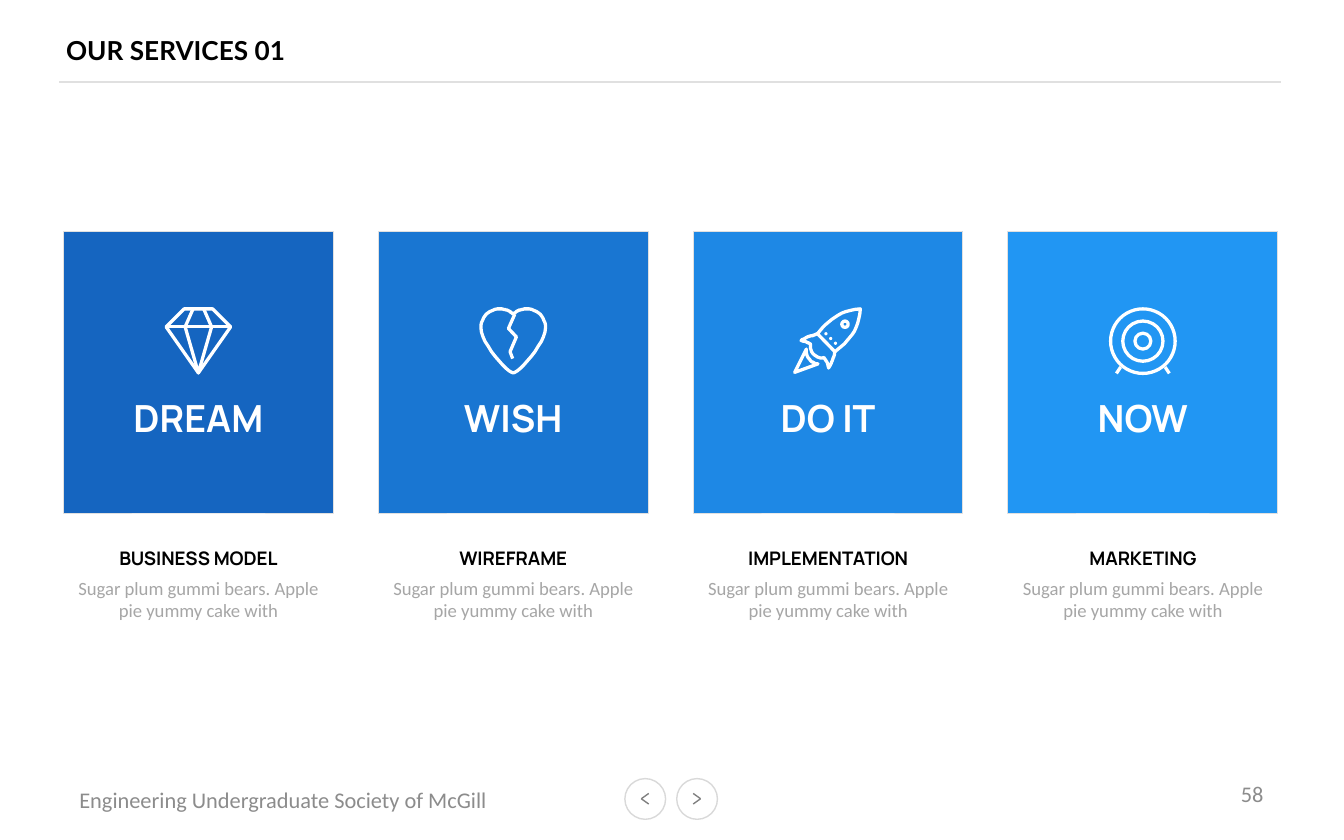
import dataclasses

import lxml.etree
import pptx
import pptx.dml.color
import pptx.enum.shapes
import pptx.enum.text
import pptx.oxml.ns
import pptx.util

Cm, Pt = pptx.util.Cm, pptx.util.Pt
RGB = pptx.dml.color.RGBColor.from_string
SHAPES = pptx.enum.shapes.MSO_SHAPE
ALIGN = pptx.enum.text.PP_ALIGN
ANCHOR = pptx.enum.text.MSO_ANCHOR


@dataclasses.dataclass(frozen=True)
class Theme:
    white: str = "FFFFFF"
    black: str = "000000"
    rule: str = "E0E0E0"
    button: str = "D9D9D9"
    arrow: str = "808080"
    footer: str = "8C8C8C"
    body: str = "A6A6A6"
    blues: tuple = ("1565C0", "1976D2", "1E88E5", "2196F3")
    word_size: int = 20
    title_size: int = 14
    footer_size: int = 12
    body_size: int = 10
    icon_stroke: float = 1.75


theme = Theme()


def write(box, text, font, size, color, bold=False, align=ALIGN.LEFT, anchor=ANCHOR.MIDDLE):
    frame = box.text_frame
    frame.word_wrap = True
    frame.vertical_anchor = anchor
    para = frame.paragraphs[0]
    para.alignment = align
    span = para.add_run()
    span.text = text
    span.font.name = font
    span.font.size = Pt(size)
    span.font.bold = bold
    span.font.color.rgb = RGB(color)


def draw_stroke(steps, center_x, center_y, closed):
    """Draw an icon stroke; steps are points, or six numbers for a Bézier curve."""
    points = [steps[0]]
    for step in steps[1:]:
        if len(step) == 2:
            points.append(step)
            continue
        corners = [points[-1], step[0:2], step[2:4], step[4:6]]
        for i in range(1, 13):
            t = i / 12
            weights = ((1 - t) ** 3, 3 * t * (1 - t) ** 2, 3 * t * t * (1 - t), t ** 3)
            points.append(tuple(sum(w * c[axis] for w, c in zip(weights, corners)) for axis in (0, 1)))
    builder = page.shapes.build_freeform(*points[0], scale=float(Cm(0.01)))
    builder.add_line_segments(points[1:], close=closed)
    stroke = builder.convert_to_shape(Cm(center_x), Cm(center_y))
    stroke.shadow.inherit = False
    stroke.fill.background()
    stroke.line.color.rgb = RGB(theme.white)
    stroke.line.width = Pt(theme.icon_stroke)


deck = pptx.Presentation()
deck.slide_width, deck.slide_height = Cm(25.4), Cm(15.88)
page = deck.slides.add_slide(deck.slide_layouts[6])

# Header and footer
title = page.shapes.add_textbox(Cm(1.25), Cm(0.41), Cm(16.94), Cm(1.09))
title.text_frame.margin_left = title.text_frame.margin_right = 0
title.text_frame.margin_top = title.text_frame.margin_bottom = 0
write(title, "OUR SERVICES 01", "Lato", theme.title_size, theme.black, bold=True)

society = page.shapes.add_textbox(Cm(1.25), Cm(14.73), Cm(8.61), Cm(0.76))
write(society, "Engineering Undergraduate Society of McGill", "Calibri", theme.footer_size, theme.footer)

number = page.shapes.add_textbox(Cm(18.21), Cm(14.58), Cm(5.92), Cm(0.84))
write(number, "58", "Calibri", theme.footer_size, theme.footer, align=ALIGN.RIGHT)

lines = [(1.12, 1.55, 24.2, 1.55, theme.rule)]
for center_x, tip in ((12.19, -0.07), (13.17, 0.07)):
    button = page.shapes.add_shape(SHAPES.OVAL, Cm(center_x - 0.38), Cm(14.72), Cm(0.77), Cm(0.77))
    button.shadow.inherit = False
    button.fill.solid()
    button.fill.fore_color.rgb = RGB(theme.white)
    button.line.color.rgb = RGB(theme.button)
    button.line.width = Pt(0.75)
    for rise in (-0.1, 0.1):
        lines.append((center_x + tip, 15.1, center_x - tip, 15.1 + rise, theme.arrow))

for x1, y1, x2, y2, color in lines:
    line = page.shapes.add_connector(
        pptx.enum.shapes.MSO_CONNECTOR.STRAIGHT, Cm(x1), Cm(y1), Cm(x2), Cm(y2))
    line.line.color.rgb = RGB(color)
    line.line.width = Pt(0.75)
    lxml.etree.SubElement(line.element.spPr, pptx.oxml.ns.qn("a:effectLst"))

# Icons, in hundredths of a centimetre around their centre.
# Outlines are closed, strokes open; rings and dots are (x, y, radius).
diamond = {
    "outlines": [[(-27, -61), (27, -61), (61, -27), (0, 60), (-61, -27)]],
    "strokes": [[(-61, -27), (61, -27)],
                [(-10, -61), (-25, -27), (0, 60), (25, -27), (10, -61)]],
}
broken_heart = {
    "outlines": [[(0, -51), (8, -58, 16, -61, 25, -61), (46, -61, 61, -46, 61, -25),
                  (61, 5, 10, 60, 0, 60), (-10, 60, -61, 5, -61, -25),
                  (-61, -46, -46, -61, -25, -61), (-16, -61, -8, -58, 0, -51)]],
    "strokes": [[(3, -51), (-9, -24), (6, -8), (-6, 20), (-1, 33)]],
}
rocket = {
    "outlines": [[(-20, -14), (0, -38, 20, -58, 61, -61), (59, -20, 38, 0, 13, 20)],
                 [(-41, 15), (-63, 59), (-19, 43), (-32, 42, -42, 30, -41, 15)]],
    "strokes": [[(-20, -14), (-30, -10, -42, -8, -51, -1), (-45, 0, -38, 2, -33, 6),
                 (-36, 22, -20, 35, -8, 31), (-3, 36, 0, 43, 1, 51), (7, 42, 11, 32, 13, 20)]],
    "rings": [(32, -32, 6)],
    "dots": [(-4, -14, 3), (5, -5, 3), (14, 4, 3)],
}
target = {
    "strokes": [[(-42, 49), (-50, 61)], [(42, 49), (50, 61)]],
    "rings": [(0, 0, 61), (0, 0, 38), (0, 0, 15)],
}

services = [
    ("DREAM", "BUSINESS MODEL", diamond),
    ("WISH", "WIREFRAME", broken_heart),
    ("DO IT", "IMPLEMENTATION", rocket),
    ("NOW", "MARKETING", target),
]
tile_left, tile_pitch, tile_width = 1.2, 5.95, 5.1
icon_y = 6.45

for index, (word, heading, icon) in enumerate(services):
    left = tile_left + index * tile_pitch
    icon_x = left + tile_width / 2

    tile = page.shapes.add_shape(SHAPES.RECTANGLE, Cm(left), Cm(4.37), Cm(tile_width), Cm(5.33))
    tile.shadow.inherit = False
    tile.fill.solid()
    tile.fill.fore_color.rgb = RGB(theme.blues[index])
    tile.line.color.rgb = RGB(theme.rule)
    tile.line.width = Pt(0.5)
    tile.text_frame.margin_top = Cm(1.83)
    write(tile, word, "Manrope", theme.word_size, theme.white, bold=True, align=ALIGN.CENTER)

    for kind in ("outlines", "strokes"):
        for steps in icon.get(kind, []):
            draw_stroke(steps, icon_x, icon_y, closed=kind == "outlines")
    for kind in ("rings", "dots"):
        for x, y, radius in icon.get(kind, []):
            circle = page.shapes.add_shape(
                SHAPES.OVAL, Cm(icon_x + (x - radius) / 100), Cm(icon_y + (y - radius) / 100),
                Cm(radius / 50), Cm(radius / 50))
            circle.shadow.inherit = False
            if kind == "rings":
                circle.fill.background()
                circle.line.color.rgb = RGB(theme.white)
                circle.line.width = Pt(theme.icon_stroke)
            else:
                circle.fill.solid()
                circle.fill.fore_color.rgb = RGB(theme.white)
                circle.line.fill.background()

    caption = page.shapes.add_textbox(Cm(left), Cm(10.22), Cm(tile_width), Cm(0.7))
    write(caption, heading, "Manrope", theme.body_size, theme.black, bold=True,
          align=ALIGN.CENTER, anchor=ANCHOR.TOP)
    summary = page.shapes.add_textbox(Cm(left), Cm(10.78), Cm(tile_width), Cm(1.12))
    write(summary, "Sugar plum gummi bears. Apple pie yummy cake with", "Calibri",
          theme.body_size, theme.body, align=ALIGN.CENTER, anchor=ANCHOR.TOP)

deck.save("out.pptx")
